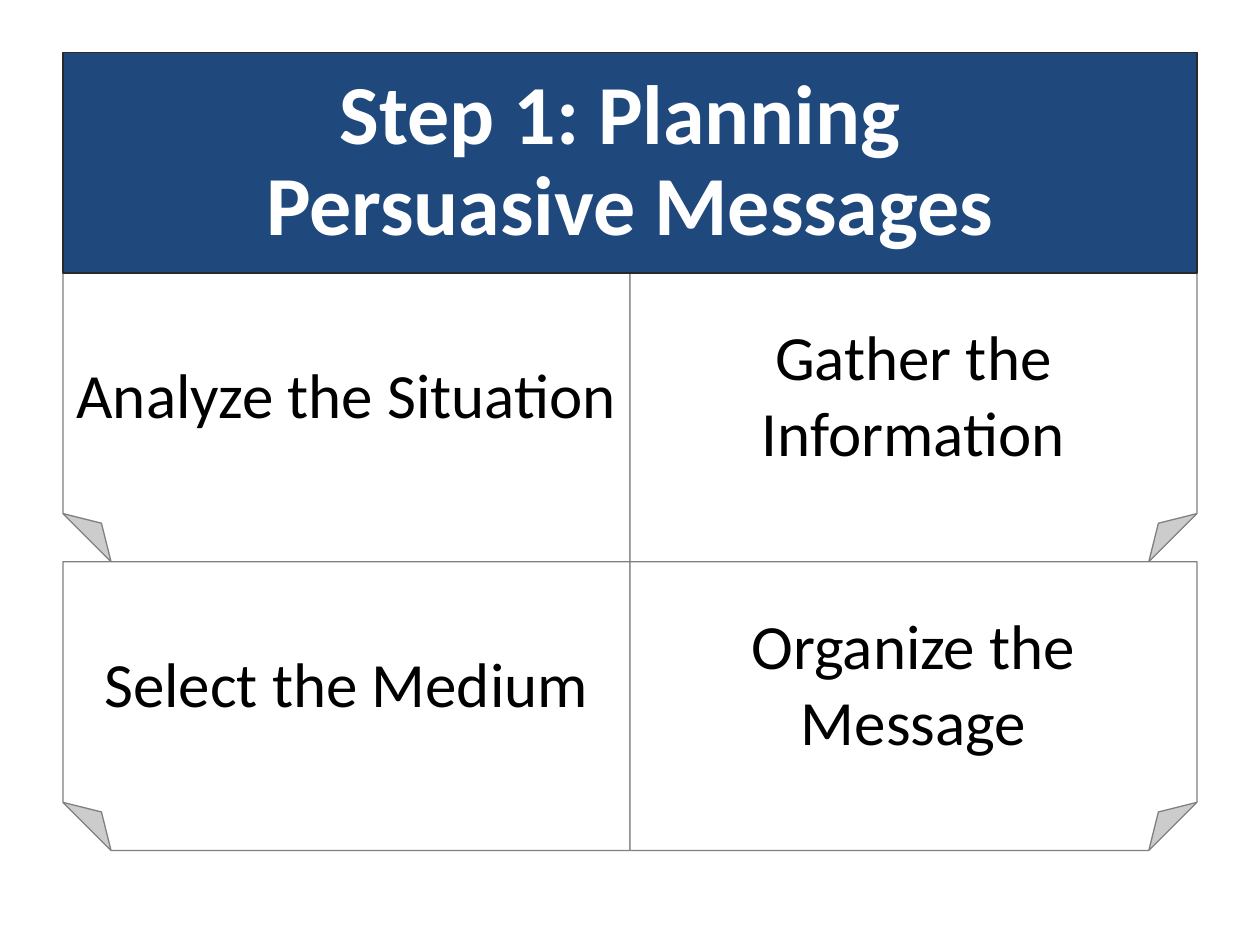
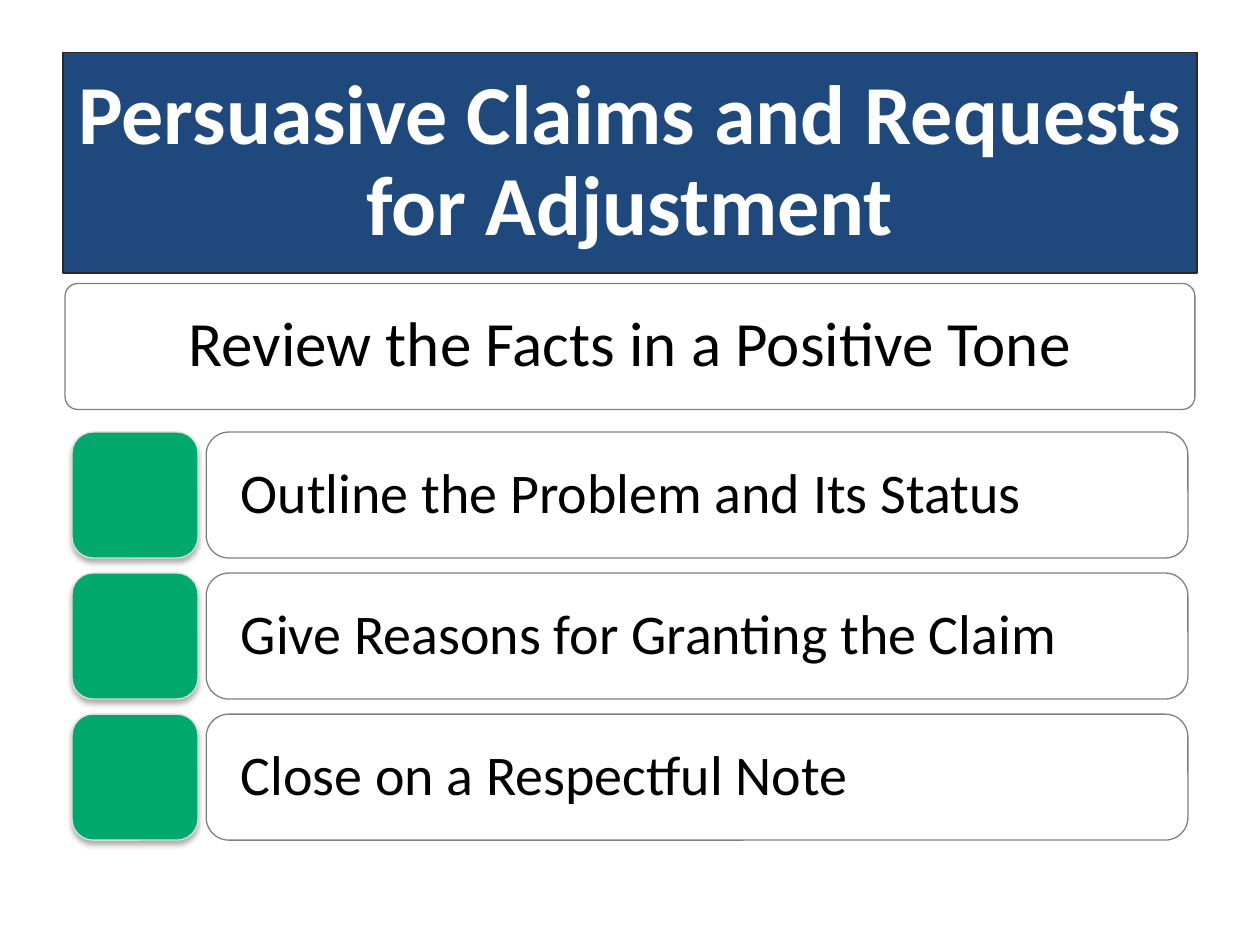
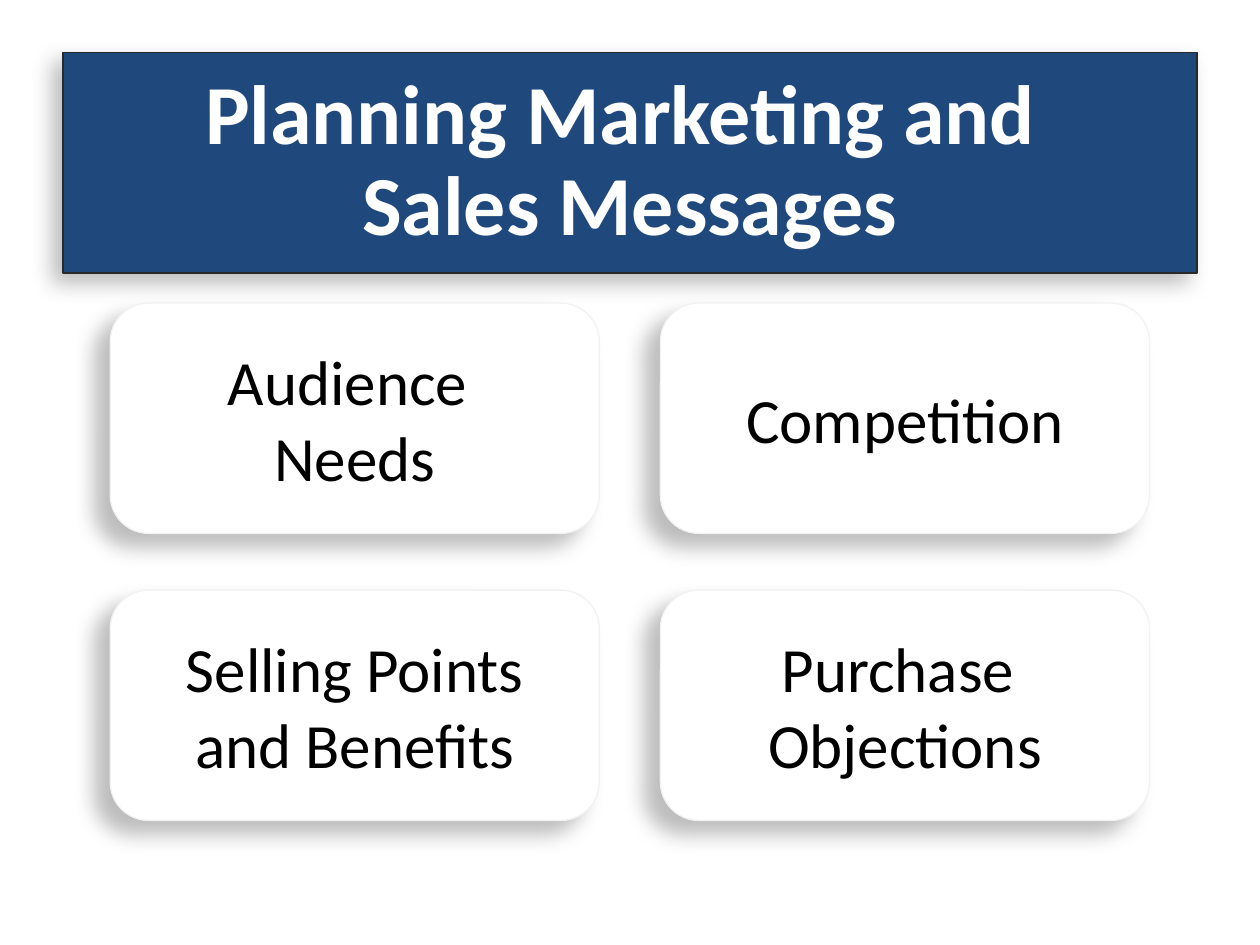
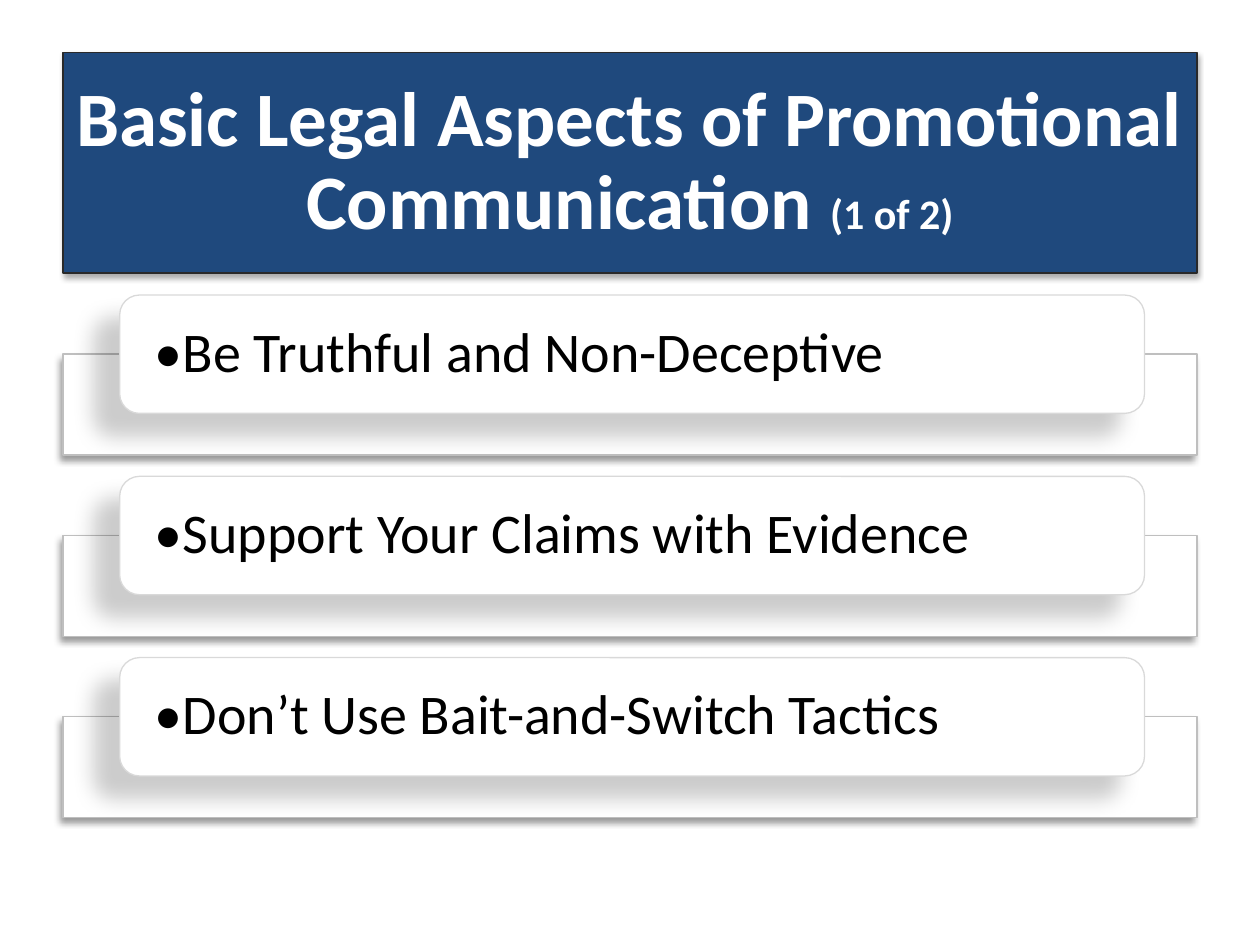
from dataclasses import dataclass

from lxml.etree import SubElement
from pptx import Presentation
from pptx.dml.color import RGBColor
from pptx.enum.shapes import MSO_SHAPE
from pptx.enum.text import MSO_ANCHOR, PP_ALIGN
from pptx.oxml.ns import qn
from pptx.util import Pt

PLANNING = {
    "title": [("Step 1: Planning \nPersuasive Messages", 48)],
    "cells": [["Analyze the Situation", "Gather the Information"],
              ["Select the Medium", "Organize the Message"]],
}
CLAIMS = {
    "title": [("Persuasive Claims and Requests for Adjustment", 48)],
    "header": "Review the Facts in a Positive Tone",
    "rows": ["Outline the Problem and Its Status",
             "Give Reasons for Granting the Claim",
             "Close on a Respectful Note"],
}
MARKETING = {
    "title": [("Planning Marketing and \nSales Messages", 48)],
    "cards": [[["Audience ", "Needs"], ["Competition"]],
              [["Selling Points", "and Benefits"], ["Purchase ", "Objections"]]],
}
LEGAL = {
    "title": [("Basic Legal Aspects of Promotional Communication ", 44), ("(1 of 2)", 24)],
    "rules": ["•Be Truthful and Non-Deceptive",
              "•Support Your Claims with Evidence",
              "•Don’t Use Bait-and-Switch Tactics"],
}


@dataclass(frozen=True)
class Shadow:
    alpha: int
    blur: float
    distance: float
    angle: int


@dataclass(frozen=True)
class Theme:
    font: str = "Calibri"
    navy: str = "1F497D"
    title_line: str = "292929"
    green: str = "00A86D"
    green_line: str = "DDDDDD"
    white: str = "FFFFFF"
    black: str = "000000"
    grey: str = "808080"
    card_line: str = "F2F2F2"
    base_line: str = "BFBFBF"
    cap_line: str = "D9D9D9"
    large: int = 36
    medium: int = 32
    line_width: float = 0.75
    edge: Shadow = Shadow(32, 3.5, 2.2, 90)
    title_glow: Shadow = Shadow(25, 11.8, 8, 141)
    card_glow: Shadow = Shadow(25, 11.8, 12, 141)
    base_glow: Shadow = Shadow(40, 4, 3, 135)
    cap_glow: Shadow = Shadow(20, 11.8, 19.7, 141)


T = Theme()
LEFT, WIDTH = 36, 648
TITLE_TOP, TITLE_HEIGHT = 30, 126
TITLE_BOTTOM = TITLE_TOP + TITLE_HEIGHT


def add_box(slide, kind, box, fill, line, shadow=None, corner=None):
    s = slide.shapes.add_shape(kind, *(Pt(v) for v in box))
    s.fill.solid()
    s.fill.fore_color.rgb = RGBColor.from_string(fill)
    s.line.color.rgb = RGBColor.from_string(line)
    s.line.width = Pt(T.line_width)
    s.shadow.inherit = False
    if corner:
        s.adjustments[0] = corner
    if shadow:
        effects = s._element.spPr.find(qn("a:effectLst"))
        outer = SubElement(effects, qn("a:outerShdw"), blurRad=str(Pt(shadow.blur)),
                           dist=str(Pt(shadow.distance)), dir=str(shadow.angle * 60000),
                           algn="ctr", rotWithShape="0")
        color = SubElement(outer, qn("a:srgbClr"), val=T.black)
        SubElement(color, qn("a:alpha"), val=str(shadow.alpha * 1000))
    return s


def style(font, size, color=T.black, bold=False):
    font.name, font.size, font.bold = T.font, Pt(size), bold
    font.color.rgb = RGBColor.from_string(color)


def add_text(s, lines, size, align=PP_ALIGN.CENTER, spacing=None, inset=(7.2, 3.6),
             wrap=True):
    tf = s.text_frame
    tf.word_wrap = wrap
    tf.vertical_anchor = MSO_ANCHOR.MIDDLE
    tf.margin_left = tf.margin_right = Pt(inset[0])
    tf.margin_top = tf.margin_bottom = Pt(inset[1])
    for i, line in enumerate(lines):
        p = tf.add_paragraph() if i else tf.paragraphs[0]
        p.text = line
        p.alignment = align
        p.line_spacing = spacing
        style(p.font, size)


def add_title(slide, parts, shadow=None):
    s = add_box(slide, MSO_SHAPE.RECTANGLE, (LEFT, TITLE_TOP, WIDTH, TITLE_HEIGHT),
                T.navy, T.title_line, shadow)
    (first, size), *rest = parts
    add_text(s, [first], size, spacing=0.9)
    p = s.text_frame.paragraphs[0]
    style(p.font, size, T.white, bold=True)
    for text, small in rest:
        r = p.add_run()
        r.text = text
        r.font.size = Pt(small)


def build_planning(slide):
    w, h = WIDTH / 2, 165
    for row, texts in enumerate(PLANNING["cells"]):
        for col, text in enumerate(texts):
            s = add_box(slide, MSO_SHAPE.FOLDED_CORNER,
                        (LEFT + col * w, TITLE_BOTTOM + row * h, w, h), T.white, T.grey)
            if col == 0:
                s._element.spPr.xfrm.set("flipH", "1")
            add_text(s, [text], T.large)
    add_title(slide, PLANNING["title"])


def build_claims(slide):
    add_title(slide, CLAIMS["title"])
    header = add_box(slide, MSO_SHAPE.ROUNDED_RECTANGLE, (37.2, 162, 645.6, 72),
                     T.white, T.grey, corner=0.1)
    add_text(header, [CLAIMS["header"]], T.large, spacing=0.9, inset=(5.7, 3.6))
    size, step = 72, 80.6
    for i, text in enumerate(CLAIMS["rows"]):
        y = 246.9 + i * step
        add_box(slide, MSO_SHAPE.ROUNDED_RECTANGLE, (41.2, y, size, size),
                T.green, T.green_line, T.edge)
        row = add_box(slide, MSO_SHAPE.ROUNDED_RECTANGLE, (117.8, y, 561, size),
                      T.white, T.grey, corner=0.18)
        add_text(row, [text], T.medium, PP_ALIGN.LEFT, 0.9, (16, 16))


def build_marketing(slide):
    add_title(slide, MARKETING["title"], T.title_glow)
    w, h, x_step, y_step = 279.5, 131.6, 314.4, 164
    for row, cards in enumerate(MARKETING["cards"]):
        for col, lines in enumerate(cards):
            s = add_box(slide, MSO_SHAPE.ROUNDED_RECTANGLE,
                        (63 + col * x_step, 173.2 + row * y_step, w, h),
                        T.white, T.card_line, T.card_glow)
            add_text(s, lines, T.large, wrap=False)


def build_legal(slide):
    add_title(slide, LEGAL["title"], T.edge)
    for i, text in enumerate(LEGAL["rules"]):
        y = 168.6 + i * 103.6
        add_box(slide, MSO_SHAPE.RECTANGLE, (LEFT, y + 33.8, WIDTH, 57.6),
                T.white, T.base_line, T.base_glow)
        cap = add_box(slide, MSO_SHAPE.ROUNDED_RECTANGLE, (68.4, y, 585.6, 67.6),
                      T.white, T.cap_line, T.cap_glow)
        add_text(cap, [text], T.medium, PP_ALIGN.LEFT, 0.9, (16.8, 0))


def main():
    prs = Presentation()
    prs.slide_width, prs.slide_height = Pt(720), Pt(540)
    for build in (build_planning, build_claims, build_marketing, build_legal):
        build(prs.slides.add_slide(prs.slide_layouts[6]))
    prs.save("out.pptx")


if __name__ == "__main__":
    main()
